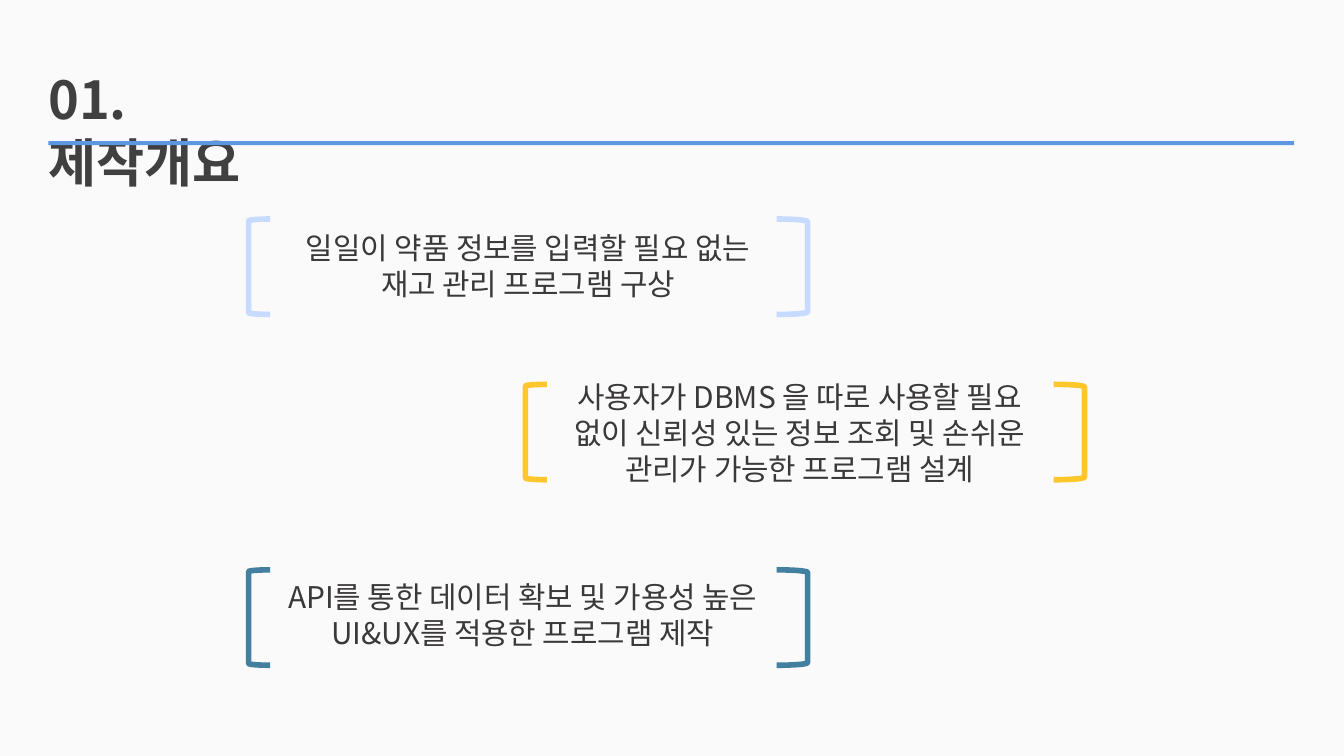
from dataclasses import dataclass

from lxml import etree
from pptx import Presentation
from pptx.dml.color import RGBColor
from pptx.enum import shapes, text
from pptx.oxml.ns import qn
from pptx.util import Inches, Pt

FONT = "Noto Sans CJK KR"
BRACKET_H = 0.71
RIGHT_OFFSET = 3.93


@dataclass
class Statement:
    left: float
    top: float
    color: str
    text: str
    text_top: float
    text_width: float
    text_height: float


STATEMENTS = [
    Statement(1.85, 1.63, "C7DAFF",
              "일일이 약품 정보를 입력할 필요 없는 재고 관리 프로그램 구상",
              1.66, 3.86, 0.64),
    Statement(3.91, 2.86, "FFC729",
              "사용자가 DBMS 을 따로 사용할 필요 없이 신뢰성 있는 정보 조회 및 "
              "손쉬운 관리가 가능한 프로그램 설계",
              2.77, 3.78, 0.91),
    Statement(1.85, 4.24, "43809F",
              "API를 통한 데이터 확보 및 가용성 높은 UI&UX를 적용한 프로그램 제작",
              4.26, 3.78, 0.64),
]


def rgb(value: str) -> RGBColor:
    return RGBColor.from_string(value)


def add_text(s, left: float, top: float, width: float, height: float,
             content: str, size: int, color: str, bold: bool = False,
             align=text.PP_ALIGN.LEFT):
    sp = s.shapes.add_textbox(Inches(left), Inches(top),
                              Inches(width), Inches(height))
    tf = sp.text_frame
    tf.word_wrap = True
    p = tf.paragraphs[0]
    p.text = content
    p.alignment = align
    r = p.runs[0]
    r.font.size = Pt(size)
    r.font.bold = bold
    r.font.name = FONT
    r.font.color.rgb = rgb(color)
    r.font._element.set("kern", "0")
    ea = etree.SubElement(r.font._element, qn("a:ea"))
    ea.set("typeface", FONT)
    return sp


def add_bracket(s, left: float, top: float, width: float, color: str,
                flipped: bool = False) -> None:
    sp = s.shapes.add_shape(shapes.MSO_SHAPE.LEFT_BRACKET, Inches(left),
                            Inches(top), Inches(width), Inches(BRACKET_H))
    sp.shadow.inherit = False
    sp.fill.background()
    sp.line.color.rgb = rgb(color)
    sp.line.width = Pt(3)
    if flipped:
        sp._element.spPr.find(qn("a:xfrm")).set("flipH", "1")


def add_statement(s, item: Statement) -> None:
    add_bracket(s, item.left, item.top, 0.16, item.color)
    add_bracket(s, item.left + RIGHT_OFFSET, item.top, 0.23, item.color, True)
    add_text(s, item.left + 0.15, item.text_top, item.text_width,
             item.text_height, item.text, 16, "3B3838",
             align=text.PP_ALIGN.CENTER)


def main() -> None:
    prs = Presentation()
    prs.slide_width = Inches(10)
    prs.slide_height = Inches(10 * 9 / 16)
    s = prs.slides.add_slide(prs.slide_layouts[6])
    s.background.fill.solid()
    s.background.fill.fore_color.rgb = rgb("FAFAFA")

    title = add_text(s, 0.36, 0.45, 2, 0.57, "01. 제작개요", 28, "404040", True)
    title.text_frame.margin_left = title.text_frame.margin_right = 0

    rule = s.shapes.add_shape(shapes.MSO_SHAPE.RECTANGLE, Inches(0.36),
                              Inches(1.05), Inches(9.27), Inches(0.03))
    rule.shadow.inherit = False
    rule.fill.solid()
    rule.fill.fore_color.rgb = rgb("5E97E1")
    rule.line.fill.background()

    for item in STATEMENTS:
        add_statement(s, item)
    prs.save("out.pptx")


if __name__ == "__main__":
    main()
